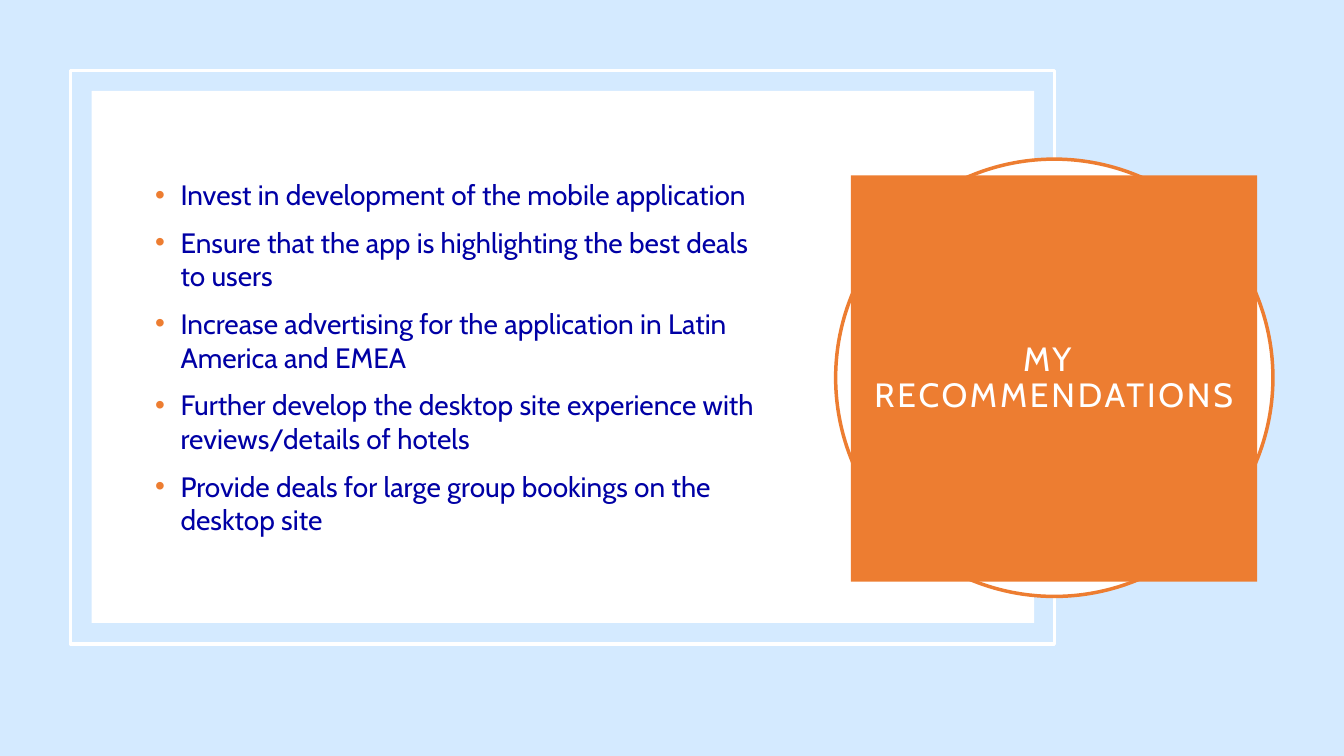
from dataclasses import dataclass

from lxml.etree import SubElement
from pptx import Presentation
from pptx.dml.color import RGBColor
from pptx.enum.shapes import MSO_SHAPE as Preset
from pptx.enum.text import MSO_ANCHOR as Anchor, MSO_AUTO_SIZE as AutoSize, PP_ALIGN as Align
from pptx.oxml.ns import qn
from pptx.util import Cm, Pt


@dataclass(frozen=True)
class Theme:
    background: RGBColor = RGBColor.from_string("D4EAFF")
    white: RGBColor = RGBColor.from_string("FFFFFF")
    accent: RGBColor = RGBColor.from_string("ED7D31")
    body: RGBColor = RGBColor.from_string("0000A5")
    font: str = "Cabin"
    title_size: Pt = Pt(24)
    body_size: Pt = Pt(20)
    outline: Pt = Pt(2.5)


THEME = Theme()
RECOMMENDATIONS = [
    "Invest in development of the mobile application",
    "Ensure that the app is highlighting the best deals to users",
    "Increase advertising for the application in Latin America and EMEA",
    "Further develop the desktop site experience with reviews/details of hotels",
    "Provide deals for large group bookings on the desktop site",
]


def add_panel(slide, preset, box, fill=None, line=None):
    shape = slide.shapes.add_shape(preset, *map(Cm, box))
    shape.shadow.inherit = False
    if fill is None:
        shape.fill.background()
    else:
        shape.fill.solid()
        shape.fill.fore_color.rgb = fill
    if line is None:
        shape.line.fill.background()
    else:
        shape.line.color.rgb = line
        shape.line.width = THEME.outline


def style_run(run, size, color):
    run.font.name = THEME.font
    run.font.size = size
    run.font.color.rgb = color


presentation = Presentation()
presentation.slide_width, presentation.slide_height = Cm(33.87), Cm(19.05)
slide = presentation.slides.add_slide(presentation.slide_layouts[5])
slide.background.fill.solid()
slide.background.fill.fore_color.rgb = THEME.background

# Frame, white panel and ring
add_panel(slide, Preset.RECTANGLE, (1.78, 1.78, 24.79, 14.45), line=THEME.white)
add_panel(slide, Preset.RECTANGLE, (2.31, 2.29, 23.75, 13.41), fill=THEME.white)
add_panel(slide, Preset.OVAL, (21.06, 4.01, 11.02, 11.02), fill=THEME.white, line=THEME.accent)

# Bulleted recommendations
body = slide.shapes.add_textbox(Cm(3.66), Cm(3.56), Cm(15.88), Cm(10.87))
frame = body.text_frame
frame.word_wrap = True
frame.vertical_anchor = Anchor.MIDDLE
frame.text = "\n".join(RECOMMENDATIONS)
for paragraph in frame.paragraphs:
    paragraph.space_before = Pt(10)
    properties = paragraph._p.get_or_add_pPr()
    properties.set("marL", str(Cm(0.64)))
    properties.set("indent", str(-Cm(0.64)))
    bullet_color = SubElement(properties, qn("a:buClr"))
    SubElement(bullet_color, qn("a:srgbClr"), val=str(THEME.accent))
    SubElement(properties, qn("a:buFont"), typeface="Arial")
    SubElement(properties, qn("a:buChar"), char="•")
    style_run(paragraph.runs[0], THEME.body_size, THEME.body)

# Title block, moved in front of the ring
title = slide.shapes.title
title.left, title.top, title.width, title.height = map(Cm, (21.44, 4.42, 10.24, 10.24))
title.fill.solid()
title.fill.fore_color.rgb = THEME.accent
title._element.getparent().append(title._element)
frame = title.text_frame
frame.margin_left = frame.margin_top = frame.margin_right = frame.margin_bottom = 0
frame.word_wrap = False
frame.auto_size = AutoSize.NONE
frame.vertical_anchor = Anchor.MIDDLE
paragraph = frame.paragraphs[0]
paragraph.text = "MY \vRECOMMENDATIONS"
paragraph.alignment = Align.CENTER
paragraph.line_spacing = 0.9
for run in paragraph.runs:
    style_run(run, THEME.title_size, THEME.white)
    run.font._element.set("spc", "200")

presentation.save("out.pptx")
